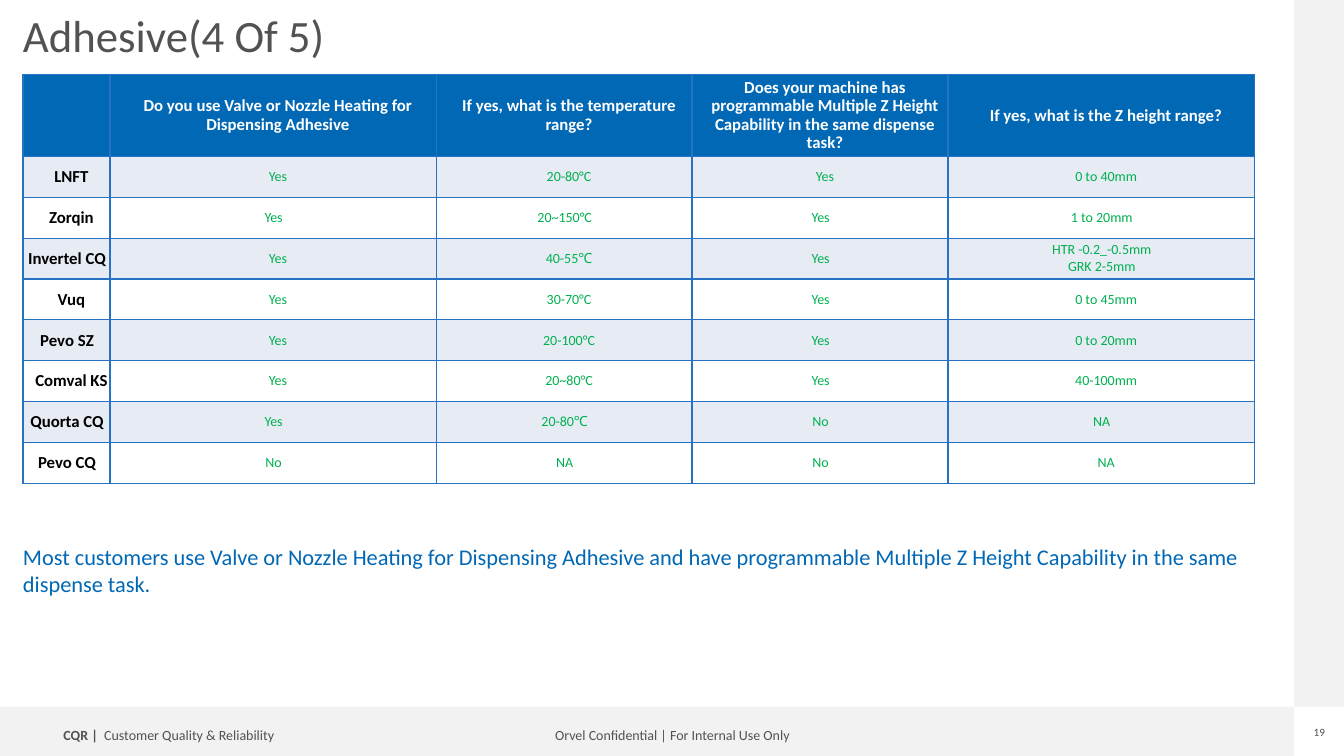
from pptx import Presentation
from pptx.dml.color import RGBColor
from pptx.enum.shapes import MSO_SHAPE as SHAPE
from pptx.enum.text import MSO_ANCHOR as ANCHOR, PP_ALIGN as ALIGN
from pptx.oxml import parse_xml
from pptx.oxml.ns import nsdecls
from pptx.util import Cm, Pt

BLUE, GREEN, GREY, BAND = "0068B5", "00B050", "525252", "F2F2F2"
WHITE, BLACK, STRIPE, BORDER = "FFFFFF", "000000", "E7EBF3", "2872C5"
NARROW, WIDE = 0.03, 0.25
COL_WIDTHS = [2.19, 8.22, 6.45, 6.45, 7.72]
HEADER_HEIGHT, ROW_HEIGHT = 2.06, 1.03
HEADERS = [
    "",
    "Do you use Valve or Nozzle Heating for Dispensing Adhesive",
    "If yes, what is the temperature range?",
    "Does your machine has programmable Multiple Z Height "
    "Capability in the same dispense task?",
    "If yes, what is the Z height range?",
]
ANSWERS = [
    (["LNFT", "Yes", "20-80°C", "Yes", "0 to 40mm"], {0, 1, 2, 3, 4}),
    (["Zorqin", "Yes", "20~150°C", "Yes", "1 to 20mm"], {0}),
    (["Invertel CQ", "Yes", "40-55℃", "Yes", "HTR -0.2_-0.5mm\nGRK 2-5mm"], {1, 2}),
    (["Vuq", "Yes", "30-70°C", "Yes", "0 to 45mm"], {0, 1, 2, 4}),
    (["Pevo SZ", "Yes", "20-100°C", "Yes", "0 to 20mm"], {1, 2, 4}),
    (["Comval KS", "Yes", "20~80°C", "Yes", "40-100mm"], {0, 1, 2, 4}),
    (["Quorta CQ", "Yes", "20-80℃", "No", "NA"], set()),
    (["Pevo CQ", "No", "NA", "No", "NA"], {4}),
]
HEADER_FONT = {"size": 12, "bold": True, "color": WHITE}
NAME_FONT = {"size": 12, "bold": True, "color": BLACK}
ANSWER_FONT = {"size": 10, "bold": False, "color": GREEN}
FOOTER_FONT = {"size": 10, "color": GREY}


def rgb(value):
    """Turn a hex string into a colour."""
    return RGBColor.from_string(value)


def set_font(font, size, color, **attrs):
    """Apply format values to a font."""
    font.color.rgb = rgb(color)
    for name, value in {"name": "Calibri", "size": Pt(size), **attrs}.items():
        setattr(font, name, value)


def set_margins(target, left, top, right, bottom):
    """Set the four text margins of a frame or cell in centimetres."""
    sides = {"left": left, "top": top, "right": right, "bottom": bottom}
    for side, value in sides.items():
        setattr(target, f"margin_{side}", Cm(value))


def add_band(s, x, y, w, h):
    """Draw a plain grey band."""
    sp = s.shapes.add_shape(SHAPE.RECTANGLE, Cm(x), Cm(y), Cm(w), Cm(h))
    sp.shadow.inherit = False
    sp.fill.solid()
    sp.fill.fore_color.rgb = rgb(BAND)
    sp.line.fill.background()


def add_text(s, box, runs, align=ALIGN.LEFT, spacing=1.0, wrap=False, inset=True):
    """Add a one-paragraph text box made of (text, font) runs."""
    tf = s.shapes.add_textbox(*map(Cm, box)).text_frame
    tf.word_wrap = wrap
    if not inset:
        set_margins(tf, 0, 0, 0, 0)
    p = tf.paragraphs[0]
    p.alignment, p.line_spacing = align, spacing
    for text, font in runs:
        r = p.add_run()
        r.text = text
        set_font(r.font, **font)


def set_borders(cell):
    """Rule all four sides of a cell."""
    tc_pr = cell._tc.get_or_add_tcPr()
    for i, side in enumerate("LRTB"):
        tc_pr.insert(i, parse_xml(
            f'<a:ln{side} {nsdecls("a")} w="12700"><a:solidFill>'
            f'<a:srgbClr val="{BORDER}"/></a:solidFill></a:ln{side}>'))


def fill_cell(cell, text, fill, font, left=WIDE, spacing=1.0):
    """Write and format one table cell."""
    cell.fill.solid()
    cell.fill.fore_color.rgb = rgb(fill)
    set_borders(cell)
    set_margins(cell, left, 0, 0, 0)
    cell.vertical_anchor = ANCHOR.MIDDLE
    cell.text_frame.text = text
    for p in cell.text_frame.paragraphs:
        p.alignment, p.line_spacing = ALIGN.CENTER, spacing
        set_font(p.font, **font)
        for r in p.runs:
            set_font(r.font, **font)


def add_answers(s):
    """Add the table of answers by customer."""
    height = HEADER_HEIGHT + ROW_HEIGHT * len(ANSWERS)
    table = s.shapes.add_table(
        len(ANSWERS) + 1, len(HEADERS), Cm(0.58), Cm(1.88),
        Cm(sum(COL_WIDTHS)), Cm(height)).table
    for column, width in zip(table.columns, COL_WIDTHS):
        column.width = Cm(width)
    for i, row in enumerate(table.rows):
        row.height = Cm(ROW_HEIGHT if i else HEADER_HEIGHT)
    for j, text in enumerate(HEADERS):
        fill_cell(table.cell(0, j), text, BLUE, HEADER_FONT, spacing=0.9)
    for i, (texts, wide) in enumerate(ANSWERS, 1):
        for j, text in enumerate(texts):
            fill_cell(table.cell(i, j), text, STRIPE if i % 2 else WHITE,
                      ANSWER_FONT if j else NAME_FONT, WIDE if j in wide else NARROW)


def main():
    """Build the slide."""
    prs = Presentation()
    prs.slide_width, prs.slide_height = Cm(33.87), Cm(19.05)
    s = prs.slides.add_slide(prs.slide_layouts[6])
    add_band(s, 0, 17.81, 32.61, 1.24)
    add_band(s, 32.61, 0, 1.26, 17.81)
    add_text(s, (13.44, 18.24, 7.01, 0.64),
             [("Orvel Confidential | For Internal Use Only", FOOTER_FONT)],
             ALIGN.CENTER, 0.9)
    add_text(s, (1.35, 18.24, 6.45, 0.64),
             [("CQR | ", {**FOOTER_FONT, "bold": True}),
              (" Customer Quality & Reliability", FOOTER_FONT)], spacing=0.9)
    add_text(s, (33.07, 18.29, 0.36, 0.33), [("19", {"size": 8, "color": GREY})],
             ALIGN.CENTER, inset=False)
    add_text(s, (0.58, 0.36, 30.58, 2.64),
             [("Adhesive(4 Of 5)", {"size": 32, "color": GREY})],
             spacing=0.9, wrap=True, inset=False)
    add_text(s, (0.58, 13.69, 31.78, 1.37),
             [("Most customers use Valve or Nozzle Heating for Dispensing Adhesive "
               "and have programmable Multiple Z Height Capability in the same "
               "dispense task.", {"size": 16, "color": BLUE})],
             wrap=True, inset=False)
    add_answers(s)
    prs.save("out.pptx")


if __name__ == "__main__":
    main()
